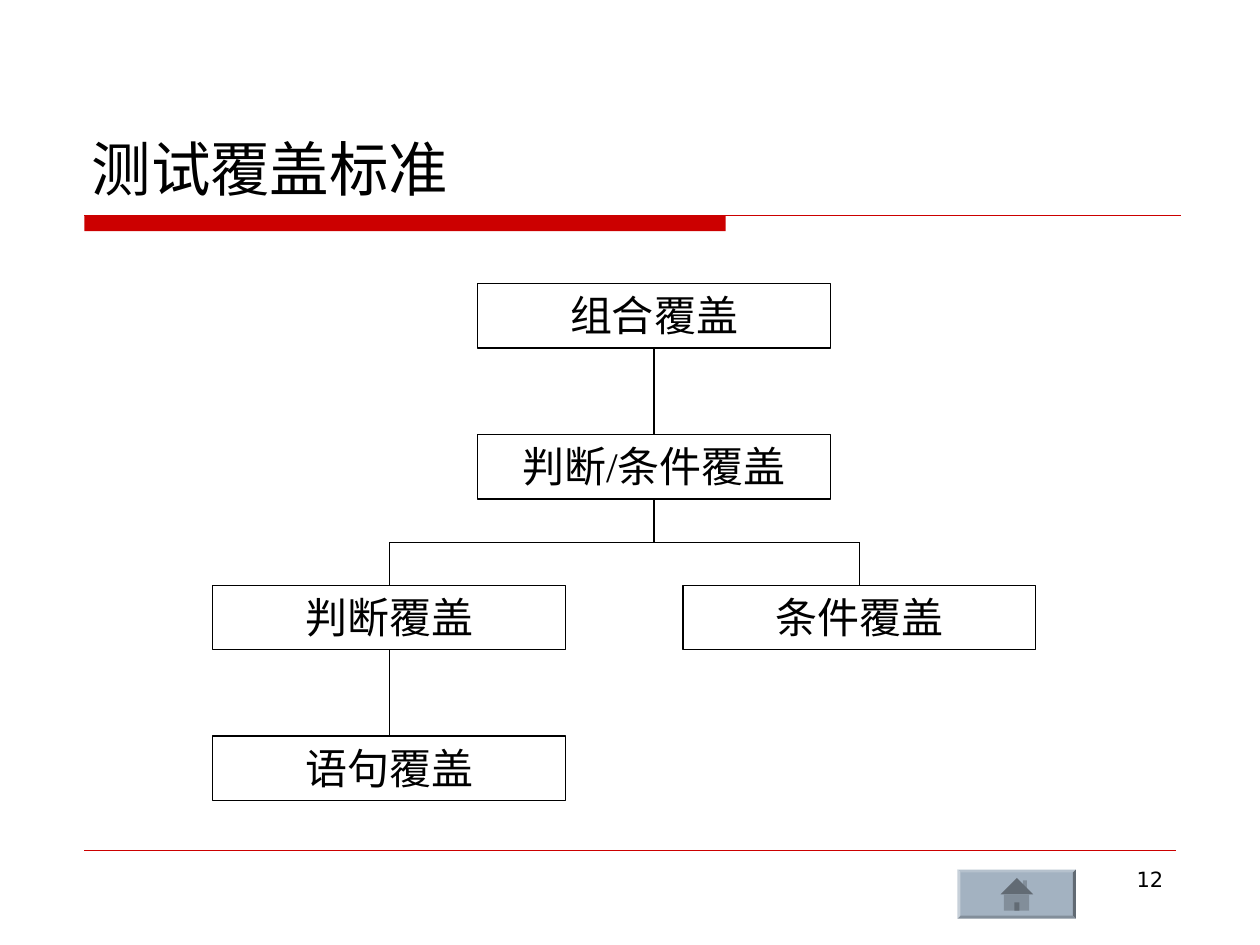
"""Build the test coverage criteria slide."""
from dataclasses import dataclass

from lxml.etree import SubElement
from pptx import Presentation
from pptx.dml.color import RGBColor
from pptx.enum.shapes import MSO_CONNECTOR, MSO_SHAPE
from pptx.enum.text import MSO_ANCHOR, PP_ALIGN
from pptx.oxml.ns import qn
from pptx.util import Cm, Pt


@dataclass(frozen=True)
class Theme:
    ink: str = "000000"
    accent: str = "CC0000"
    button: str = "A3B2C1"
    wall: str = "828E9A"
    roof: str = "626B74"
    sans: str = "DejaVu Sans"
    serif: str = "Times New Roman"
    title: int = 34
    body: int = 24
    small: int = 12


def write(sp, text, *, size, font, color, align=PP_ALIGN.LEFT, anchor=MSO_ANCHOR.TOP):
    tf = sp.text_frame
    tf.word_wrap = True
    tf.vertical_anchor = anchor
    p = tf.paragraphs[0]
    p.alignment = align
    r = p.add_run()
    r.text = text
    r.font.size = Pt(size)
    r.font.name = font
    r.font.color.rgb = RGBColor.from_string(color)


class Builder:
    def __init__(self, slide, theme):
        self.shapes = slide.shapes
        self.theme = theme

    def paint(self, sp, fill=None, line=None):
        sp.shadow.inherit = False
        if fill:
            sp.fill.solid()
            sp.fill.fore_color.rgb = RGBColor.from_string(fill)
        else:
            sp.fill.background()
        if line:
            sp.line.color.rgb = RGBColor.from_string(line)
            sp.line.width = Pt(0.75)
        else:
            sp.line.fill.background()
        return sp

    def shape(self, x, y, w, h, fill=None, line=None, kind=MSO_SHAPE.RECTANGLE):
        sp = self.shapes.add_shape(kind, Cm(x), Cm(y), Cm(w), Cm(h))
        return self.paint(sp, fill, line)

    def polygon(self, points, fill):
        start, *rest = [(Cm(x), Cm(y)) for x, y in points]
        fb = self.shapes.build_freeform(*start)
        fb.add_line_segments(rest, close=True)
        return self.paint(fb.convert_to_shape(), fill)

    def text(self, x, y, w, h, text, **style):
        sp = self.shapes.add_textbox(Cm(x), Cm(y), Cm(w), Cm(h))
        write(sp, text, font=self.theme.sans, color=self.theme.ink, **style)

    def box(self, x, y, w, h, text):
        t = self.theme
        sp = self.shape(x, y, w, h, line=t.ink)
        write(sp, text, size=t.body, font=t.serif, color=t.ink, align=PP_ALIGN.CENTER)
        return sp

    def line(self, x1, y1, x2, y2, color, width=0.75, begin=None, end=None):
        cn = self.shapes.add_connector(
            MSO_CONNECTOR.STRAIGHT, Cm(x1), Cm(y1), Cm(x2), Cm(y2))
        cn.line.color.rgb = RGBColor.from_string(color)
        cn.line.width = Pt(width)
        SubElement(cn._element.spPr, qn("a:effectLst"))
        if begin:
            begin_sp, site = begin
            cn.begin_connect(begin_sp, site)
        if end:
            end_sp, site = end
            cn.end_connect(end_sp, site)

    def home_button(self):
        t = self.theme
        sp = self.shape(19.3, 17.53, 2.39, 0.99, t.button, kind=MSO_SHAPE.BEVEL)
        sp.adjustments[0] = 0.06
        self.polygon([(20.62, 17.75), (20.7, 17.75), (20.7, 17.91), (20.62, 17.83)], t.wall)
        self.polygon([(20.5, 17.7), (20.83, 18.03), (20.17, 18.03)], t.roof)
        self.shape(20.24, 18.03, 0.51, 0.33, t.wall)
        self.shape(20.45, 18.19, 0.1, 0.17, t.roof)

    def coverage_tree(self):
        ink = self.theme.ink
        w, h, top, pitch = 7.11, 1.3, 5.72, 3.04
        left, middle, right = 4.29, 9.63, 13.77
        nodes = [("组合覆盖", middle, 0), ("判断/条件覆盖", middle, 1),
                 ("判断覆盖", left, 2), ("条件覆盖", right, 2), ("语句覆盖", left, 3)]
        combined, both, decision, condition, statement = [
            self.box(x, top + row * pitch, w, h, text) for text, x, row in nodes]
        for upper, lower in ((combined, both), (decision, statement)):
            self.line(0, 0, 0, 0, ink, begin=(upper, 2), end=(lower, 0))
        bus = top + pitch + (pitch + h) / 2
        stem, start, stop = (x + w / 2 for x in (middle, left, right))
        self.line(stem, bus, stem, bus, ink, begin=(both, 2))
        self.line(start, bus, stop, bus, ink)
        for x, child in ((start, decision), (stop, condition)):
            self.line(x, bus, x, bus, ink, end=(child, 0))


def main():
    prs = Presentation()
    prs.slide_width, prs.slide_height = Cm(25.4), Cm(19.05)
    t = Theme()
    s = Builder(prs.slides.add_slide(prs.slide_layouts[6]), t)
    s.shape(1.7, 4.34, 12.93, 0.32, t.accent)
    s.line(1.7, 4.34, 23.8, 4.34, t.accent)
    s.line(1.7, 17.15, 23.7, 17.15, t.accent, 0.25)
    s.text(18.2, 17.35, 5.5, 1.32, "12", size=t.small, align=PP_ALIGN.RIGHT)
    s.text(1.6, 0.84, 22.23, 3.38, "测试覆盖标准", size=t.title, anchor=MSO_ANCHOR.BOTTOM)
    s.coverage_tree()
    s.home_button()
    prs.save("out.pptx")


if __name__ == "__main__":
    main()
